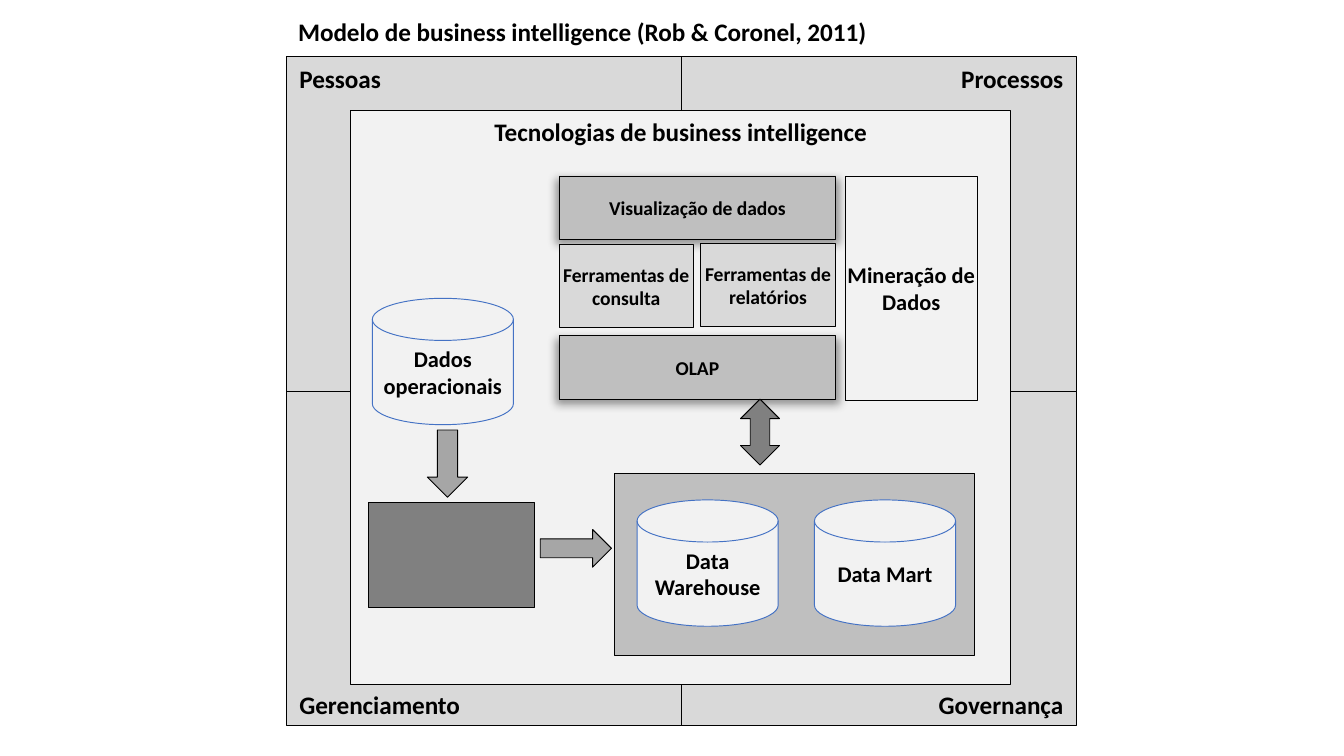
from lxml.etree import SubElement
from pptx import Presentation
from pptx.dml.color import RGBColor
from pptx.enum.shapes import MSO_SHAPE
from pptx.enum.text import MSO_ANCHOR, MSO_AUTO_SIZE, PP_ALIGN
from pptx.oxml.ns import qn
from pptx.util import Inches, Pt

COLORS = {"ink": "000000", "blue": "4472C4", "pale": "F2F2F2", "light": "D9D9D9",
          "mid": "BFBFBF", "arrow": "A6A6A6", "dark": "808080"}
RECT, DISK = MSO_SHAPE.RECTANGLE, MSO_SHAPE.FLOWCHART_MAGNETIC_DISK
LEFT, MID, RIGHT = PP_ALIGN.LEFT, PP_ALIGN.CENTER, PP_ALIGN.RIGHT
TOP, CENTER, BOTTOM = MSO_ANCHOR.TOP, MSO_ANCHOR.MIDDLE, MSO_ANCHOR.BOTTOM

TITLE = "Modelo de business intelligence (Rob & Coronel, 2011)"

# Frame quarters: text, column, row
FRAME = [("Pessoas", 0, 0), ("Processos", 1, 0),
         ("Governança", 1, 1), ("Gerenciamento", 0, 1)]
FRAME_X, FRAME_Y, FRAME_W, FRAME_H = 2.13, 0.42, 2.94, 2.49

# Data stores: text, left, top
STORES = [("Dados operacionais", 2.77, 2.22),
          ("Data Warehouse", 4.74, 3.72), ("Data Mart", 6.06, 3.72)]

# Wide layers of the tool stack: text, top
LAYERS = [("Visualização de dados", 1.31), ("OLAP", 2.5)]

# Tools between the layers: text, box
TOOLS = [("Ferramentas de consulta", (4.16, 1.82, 1, 0.62)),
         ("Ferramentas de relatórios", (5.21, 1.81, 1.01, 0.62))]

# Arrows: kind, box, fill
ARROWS = [(MSO_SHAPE.UP_DOWN_ARROW, (5.51, 2.97, 0.29, 0.49), "dark"),
          (MSO_SHAPE.DOWN_ARROW, (3.18, 3.2, 0.3, 0.5), "arrow"),
          (MSO_SHAPE.RIGHT_ARROW, (4.02, 3.94, 0.53, 0.28), "arrow")]


def rgb(name):
    return RGBColor.from_string(COLORS[name])


def write(shape, text, size, align=MID):
    para = shape.text_frame.paragraphs[0]
    para.alignment = align
    run = para.add_run()
    run.text = text
    for key, value in {"name": "Calibri", "size": Pt(size), "bold": True}.items():
        setattr(run.font, key, value)
    run.font.color.rgb = rgb("ink")


def draw(kind, box, fill, text="", size=12, align=MID, anchor=CENTER,
         line="ink", pad=(0.1, 0.05)):
    shape = slide.shapes.add_shape(kind, *map(Inches, box))
    shape.shadow.inherit = False
    shape.fill.solid()
    shape.fill.fore_color.rgb = rgb(fill)
    shape.line.color.rgb = rgb(line)
    shape.line.width = Pt(0.5)
    if text:
        side, edge = map(Inches, pad)
        form = {"word_wrap": True, "vertical_anchor": anchor,
                "margin_left": side, "margin_right": side,
                "margin_top": edge, "margin_bottom": edge}
        for key, value in form.items():
            setattr(shape.text_frame, key, value)
        write(shape, text, size, align)
    return shape


def shade(shape):
    effects = shape.element.spPr.find(qn("a:effectLst"))
    outer = SubElement(effects, qn("a:outerShdw"), blurRad=str(Pt(5)),
                       dist=str(Pt(2)), dir="5400000", sx="102000",
                       sy="102000", algn="ctr", rotWithShape="0")
    color = SubElement(outer, qn("a:srgbClr"), val=COLORS["ink"])
    SubElement(color, qn("a:alpha"), val="40000")


deck = Presentation()
deck.slide_width = Inches(10)
deck.slide_height = deck.slide_width * 9 // 16
slide = deck.slides.add_slide(deck.slide_layouts[6])

# Outer frame and technology panel
for text, col, row in FRAME:
    box = (FRAME_X + col * FRAME_W, FRAME_Y + row * FRAME_H, FRAME_W, FRAME_H)
    draw(RECT, box, "light", text, 13.5, (LEFT, RIGHT)[col], (TOP, BOTTOM)[row])
draw(RECT, (2.61, 0.82, 4.91, 4.27), "pale",
     "Tecnologias de business intelligence", 13.5, anchor=TOP)

# Tool stack and data mining
for text, top in LAYERS:
    shade(draw(RECT, (4.16, top, 2.06, 0.47), "mid", text, 10.5))
for text, box in TOOLS:
    draw(RECT, box, "light", text, 10.5, pad=(0, 0))
draw(RECT, (6.29, 1.31, 0.98, 1.67), "pale", "Mineração de Dados", pad=(0, 0.05))

# Storage panel, load step and data stores
draw(RECT, (4.57, 3.52, 2.68, 1.36), "mid")
draw(RECT, (2.74, 3.74, 1.24, 0.78), "dark")
for text, left, top in STORES:
    draw(DISK, (left, top, 1.05, 0.94), "pale", text, line="blue", pad=(0, 0))

# Flow arrows
for kind, box, fill in ARROWS:
    draw(kind, box, fill)

# Title
title = slide.shapes.add_textbox(*map(Inches, (2.12, 0.07, 5.21, 0.33)))
title.text_frame.word_wrap = False
title.text_frame.auto_size = MSO_AUTO_SIZE.SHAPE_TO_FIT_TEXT
write(title, TITLE, 13.5, LEFT)

deck.save("out.pptx")
